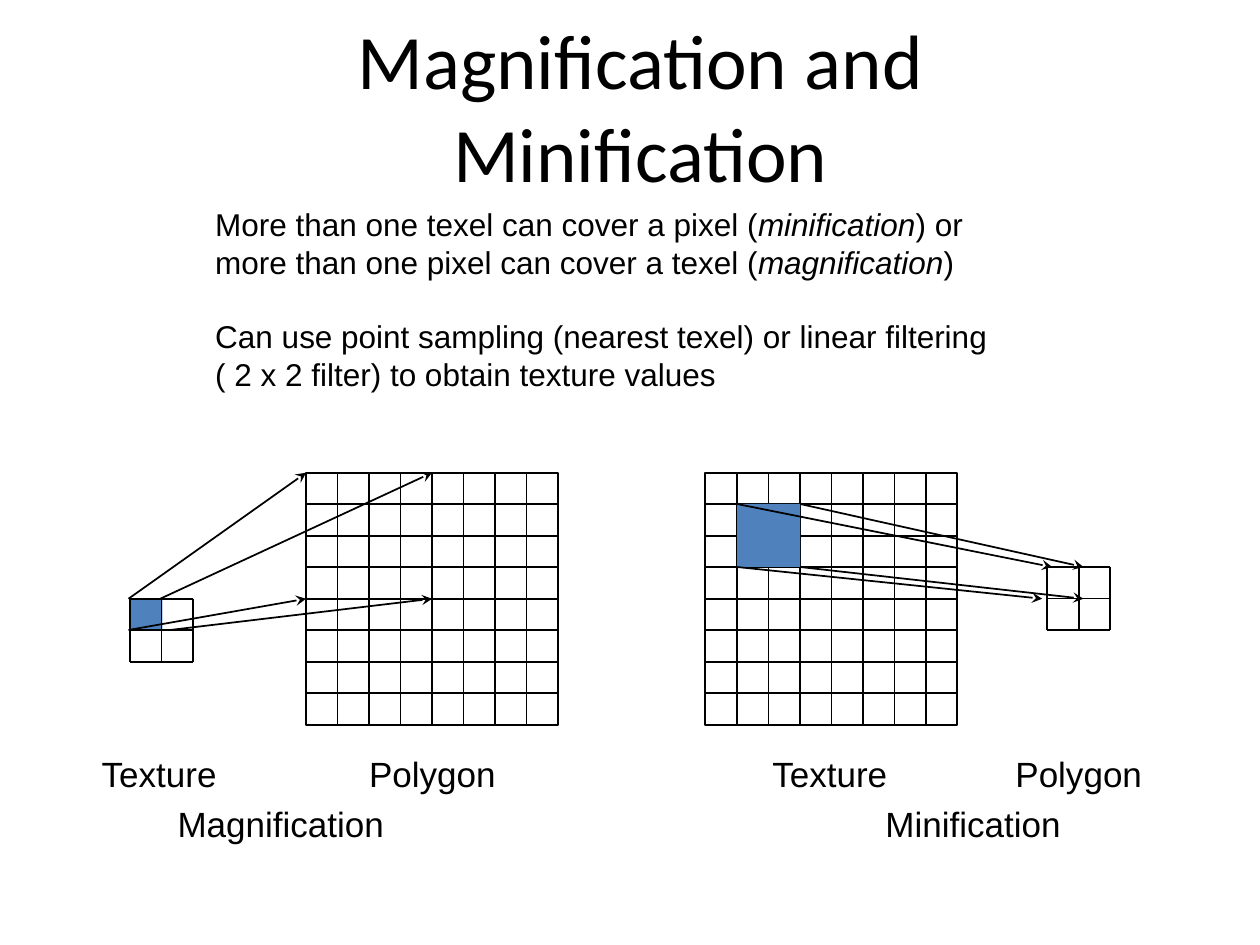
from lxml import etree
from pptx import Presentation
from pptx.dml.color import RGBColor
from pptx.enum.shapes import MSO_CONNECTOR as Connector, MSO_SHAPE as Shape
from pptx.enum.text import MSO_ANCHOR as Anchor, PP_ALIGN as Align
from pptx.oxml.ns import qn
from pptx.util import Cm, Pt

COLORS = {"ink": "000000", "texel": "4F81BD"}
CELL = 2.54 / 4  # cm, side of one texel or pixel
TOP, LEFT, BOTTOM, RIGHT = range(4)  # connection sites of a rectangle


class SlideBuilder:
    """Holds the style and the slide; all lengths are in cm."""

    def __init__(self, slide, font="Arial", line_width=1):
        self.shapes = slide.shapes
        self.font = font
        self.line_width = Pt(line_width)

    def color(self, name):
        return RGBColor.from_string(COLORS[name])

    def text(self, left, top, width, height, paragraphs, size, font=None,
             align=Align.LEFT, anchor=Anchor.TOP, wrap=False):
        """Each paragraph is (space before, [(text, italic), ...])."""
        box = self.shapes.add_textbox(Cm(left), Cm(top), Cm(width), Cm(height))
        frame = box.text_frame
        frame.word_wrap = wrap
        frame.vertical_anchor = anchor
        for index, (space, runs) in enumerate(paragraphs):
            paragraph = frame.add_paragraph() if index else frame.paragraphs[0]
            paragraph.alignment = align
            if space:
                paragraph.space_before = Pt(space)
            for words, italic in runs:
                run = paragraph.add_run()
                run.text = words
                run.font.name = font or self.font
                run.font.size = Pt(size)
                run.font.italic = italic
                run.font.color.rgb = self.color("ink")

    def label(self, left, top, width, words):
        self.text(left, top, width, 1.09, [(0, [(words, False)])], size=20)

    def square(self, left, top, cells, fill=None):
        """A filled square without outline, or an outline without fill."""
        side = Cm(cells * CELL)
        square = self.shapes.add_shape(Shape.RECTANGLE, Cm(left), Cm(top), side, side)
        square.shadow.inherit = False
        if fill:
            square.fill.solid()
            square.fill.fore_color.rgb = self.color(fill)
            square.line.fill.background()
        else:
            square.fill.background()
            square.line.color.rgb = self.color("ink")
            square.line.width = self.line_width
        return square

    def line(self, start, end):
        line = self.shapes.add_connector(
            Connector.STRAIGHT, *(Cm(value) for value in (*start, *end)))
        line.line.color.rgb = self.color("ink")
        line.line.width = self.line_width
        etree.SubElement(line._element.spPr, qn("a:effectLst"))
        return line

    def arrow(self, start, end):
        arrow = self.line(start, end)
        etree.SubElement(arrow.line._get_or_add_ln(), qn("a:tailEnd"), type="stealth")
        return arrow

    def grid(self, left, top, cells, framed):
        """A framed grid has an outline square and only inner lines."""
        frame = self.square(left, top, cells) if framed else None
        side = cells * CELL
        steps = range(1, cells) if framed else range(cells + 1)
        for step in steps:
            x, y = left + step * CELL, top + step * CELL
            row = self.line((left, y), (left + side, y))
            column = self.line((x, top), (x, top + side))
            if framed and 2 * step == cells:
                row.begin_connect(frame, LEFT)
                row.end_connect(frame, RIGHT)
                column.begin_connect(frame, TOP)
                column.end_connect(frame, BOTTOM)
        return frame


def main():
    prs = Presentation()
    prs.slide_width, prs.slide_height = Cm(25.4), Cm(19.05)
    builder = SlideBuilder(prs.slides.add_slide(prs.slide_layouts[6]))

    # Title
    builder.text(3.81, 0.64, 18.2, 2.97,
                 [(0, [("Magnification and Minification", False)])], size=44,
                 font="Calibri", align=Align.CENTER, anchor=Anchor.MIDDLE, wrap=True)

    # Magnification: one texel covers many pixels
    builder.square(2.64, 12.07, 1, fill="texel")
    magnified_polygon = builder.grid(6.17, 9.53, 8, framed=True)
    builder.grid(2.62, 12.07, 2, framed=False)
    for start, end, site in [
        ((2.59, 12.07), (6.17, 9.53), None),
        ((3.23, 12.07), (8.71, 9.53), TOP),
        ((2.59, 12.7), (6.17, 12.07), LEFT),
        ((3.43, 12.7), (8.71, 12.07), None),
    ]:
        arrow = builder.arrow(start, end)
        if site is not None:
            arrow.end_connect(magnified_polygon, site)

    # Minification: many texels fall on one pixel
    builder.grid(14.22, 9.53, 8, framed=True)
    builder.grid(21.11, 11.43, 2, framed=False)
    builder.square(14.86, 10.16, 2, fill="texel")
    for start, end in [
        ((16.13, 10.16), (21.84, 11.43)),
        ((16.13, 11.43), (21.84, 12.07)),
        ((14.86, 10.16), (21.21, 11.43)),
        ((14.86, 11.43), (21.01, 12.07)),
    ]:
        builder.arrow(start, end)

    # Labels under the grids
    for left, top, width, words in [
        (1.8, 15.04, 2.92, "Texture"),
        (7.19, 15.04, 3.07, "Polygon"),
        (3.33, 16.05, 4.67, "Magnification"),
        (15.32, 15.04, 2.92, "Texture"),
        (20.22, 15.04, 3.07, "Polygon"),
        (17.6, 16.05, 4.04, "Minification"),
    ]:
        builder.label(left, top, width, words)

    # Explanation
    builder.text(4.09, 4.01, 16.08, 4.83, [
        (0, [("More than one texel can cover a pixel (", False),
             ("minification", True), (") or", False)]),
        (0, [("more than one pixel can cover a texel (", False),
             ("magnification", True), (")", False)]),
        (21, [("Can use point sampling (nearest texel) or linear filtering", False)]),
        (0, [("( 2 x 2 filter) to obtain texture values", False)]),
    ], size=18)

    prs.save("out.pptx")


if __name__ == "__main__":
    main()
